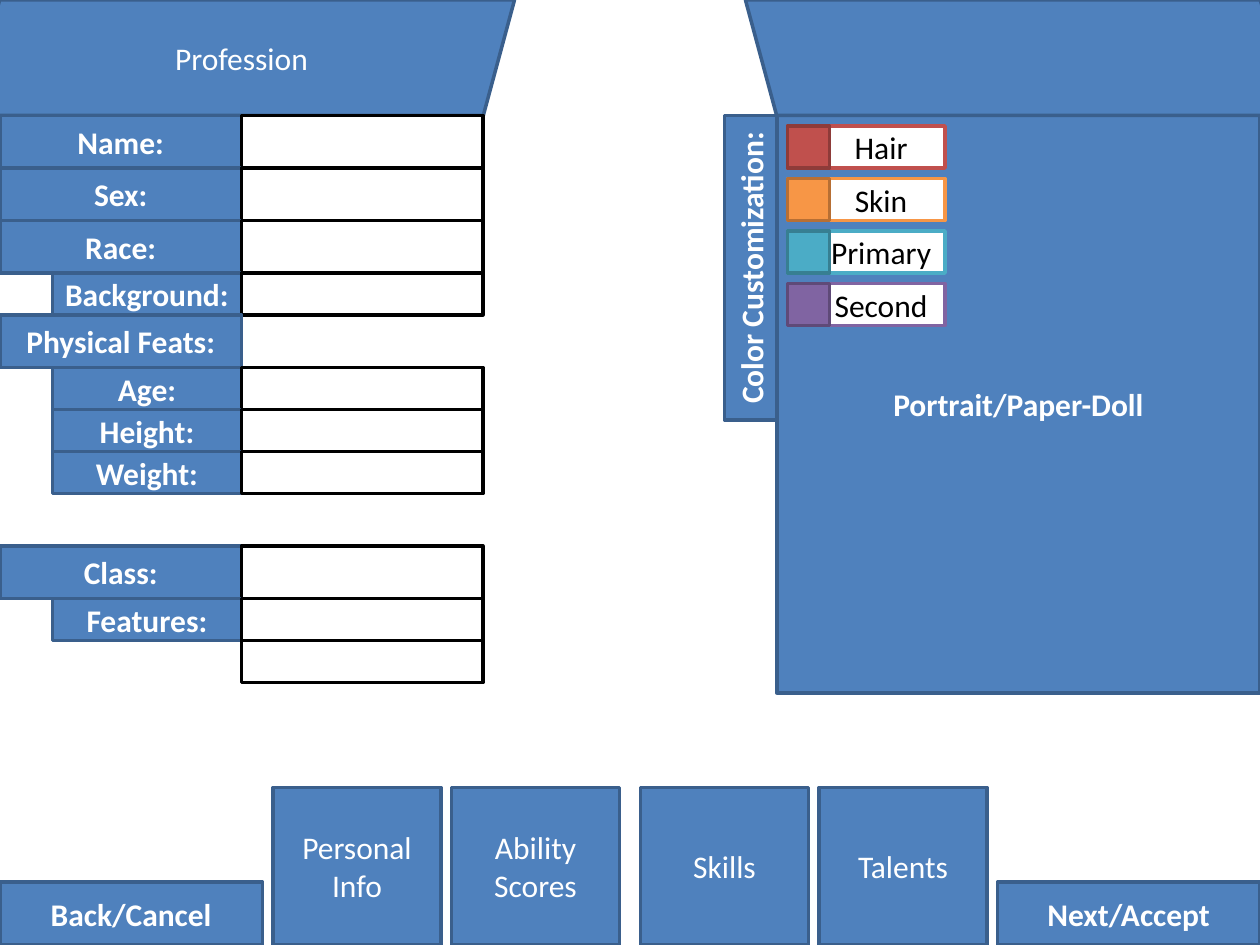
"""Builds a character creation screen on a grid of twelve units per inch."""
from dataclasses import dataclass

from pptx import Presentation
from pptx.dml.color import RGBColor
from pptx.enum.shapes import MSO_SHAPE
from pptx.enum.text import MSO_ANCHOR, PP_ALIGN
from pptx.shapes.autoshape import Shape
from pptx.util import Inches, Length, Pt

RECT = MSO_SHAPE.RECTANGLE
SLANT = MSO_SHAPE.PARALLELOGRAM
CENTER = PP_ALIGN.CENTER
MIDDLE = MSO_ANCHOR.MIDDLE


@dataclass(frozen=True)
class Theme:
    """Colours and type of the screen."""
    blue: str = "4F81BD"
    edge: str = "3A5F8C"
    white: str = "FFFFFF"
    black: str = "000000"
    font: str = "Calibri"
    size: int = 18
    line: int = 2


@dataclass(frozen=True)
class Box:
    """Place of a shape in grid units."""
    left: int
    top: int
    width: int
    height: int


@dataclass(frozen=True)
class Look:
    """Fill, outline and text style of a shape."""
    fill: str
    edge: str
    ink: str
    bold: bool = False


@dataclass(frozen=True)
class Row:
    """One line of the form; a sub row is indented and lower."""
    label: str = ""
    sub: bool = False
    field: bool = True


@dataclass(frozen=True)
class Swatch:
    """A colour choice with its name."""
    name: str
    fill: str
    edge: str


THEME = Theme()
PLAIN = Look(THEME.blue, THEME.edge, THEME.white)
STRONG = Look(THEME.blue, THEME.edge, THEME.white, True)
FIELD = Look(THEME.white, THEME.black, THEME.black)

FORM_TOP, CLASS_TOP = 11, 52
PERSON = [
    Row("Name:"), Row("Sex:"), Row("Race:"), Row("Background:", sub=True),
    Row("Physical Feats:", field=False), Row("Age:", sub=True),
    Row("Height:", sub=True), Row("Weight:", sub=True),
]
CLASS = [Row("Class:"), Row("Features:", sub=True), Row(sub=True)]
SWATCHES = [
    Swatch("Hair", "C0504D", "8E3B39"),
    Swatch("Skin", "F79646", "B76F34"),
    Swatch("Primary", "4BACC6", "377F92"),
    Swatch("Second", "8064A2", "5F4A78"),
]
TABS = {"Personal Info": 26, "Ability Scores": 43, "Skills": 61, "Talents": 78}
BUTTONS = {"Back/Cancel": 0, "Next/Accept": 95}


def unit(count: int) -> Length:
    """Turn grid units into a length."""
    return Inches(count / 12)


def draw(box: Box, look: Look, text: str = "", kind: MSO_SHAPE = RECT) -> Shape:
    """Add one styled shape with centred text."""
    shape = slide.shapes.add_shape(kind, unit(box.left), unit(box.top),
                                   unit(box.width), unit(box.height))
    shape.shadow.inherit = False
    shape.fill.solid()
    shape.fill.fore_color.rgb = RGBColor.from_string(look.fill)
    shape.line.color.rgb = RGBColor.from_string(look.edge)
    shape.line.width = Pt(THEME.line)
    if text:
        frame = shape.text_frame
        frame.word_wrap = True
        frame.vertical_anchor = MIDDLE
        para = frame.paragraphs[0]
        para.text = text
        para.alignment = CENTER
        para.font.name = THEME.font
        para.font.size = Pt(THEME.size)
        para.font.bold = look.bold
        para.font.color.rgb = RGBColor.from_string(look.ink)
    return shape


def draw_form(rows: list[Row], top: int) -> None:
    """Stack rows of labels and fields from the given top."""
    for row in rows:
        high, left = (4, 5) if row.sub else (5, 0)
        if row.label:
            draw(Box(left, top, 23 - left, high), STRONG, row.label)
        if row.field:
            draw(Box(23, top, 23, high), FIELD)
        top += high


def draw_swatch(item: Swatch, top: int) -> None:
    """Add a named box with its colour chip on the left."""
    look = Look(THEME.white, item.fill, THEME.black)
    name = draw(Box(75, top, 15, 4), look, item.name)
    name.text_frame.margin_left = unit(4)
    draw(Box(75, top, 4, 4), Look(item.fill, item.edge, THEME.white))


def draw_banner(left: int, text: str = "", flip: bool = False) -> None:
    """Add a slanted banner along the top edge."""
    banner = draw(Box(left, 0, 52, 11), PLAIN, text, SLANT)
    banner.adjustments[0] = 0.27
    if flip:
        banner.element.spPr.get_or_add_xfrm().set("flipH", "1")


deck = Presentation()
deck.slide_width, deck.slide_height = Inches(10), Inches(7.5)
slide = deck.slides.add_slide(deck.slide_layouts[6])

draw(Box(74, 11, 46, 55), STRONG, "Portrait/Paper-Doll")
for index, swatch in enumerate(SWATCHES):
    draw_swatch(swatch, 12 + 5 * index)
for label, x in BUTTONS.items():
    draw(Box(x, 84, 25, 6), STRONG, label)
for label, x in TABS.items():
    draw(Box(x, 75, 16, 15), PLAIN, label)
draw_banner(-3, "Profession")
draw_form(PERSON, FORM_TOP)
draw_form(CLASS, CLASS_TOP)
draw_banner(71, flip=True)
draw(Box(57, 23, 29, 5), STRONG, "Color Customization:").rotation = 270

deck.save("out.pptx")
